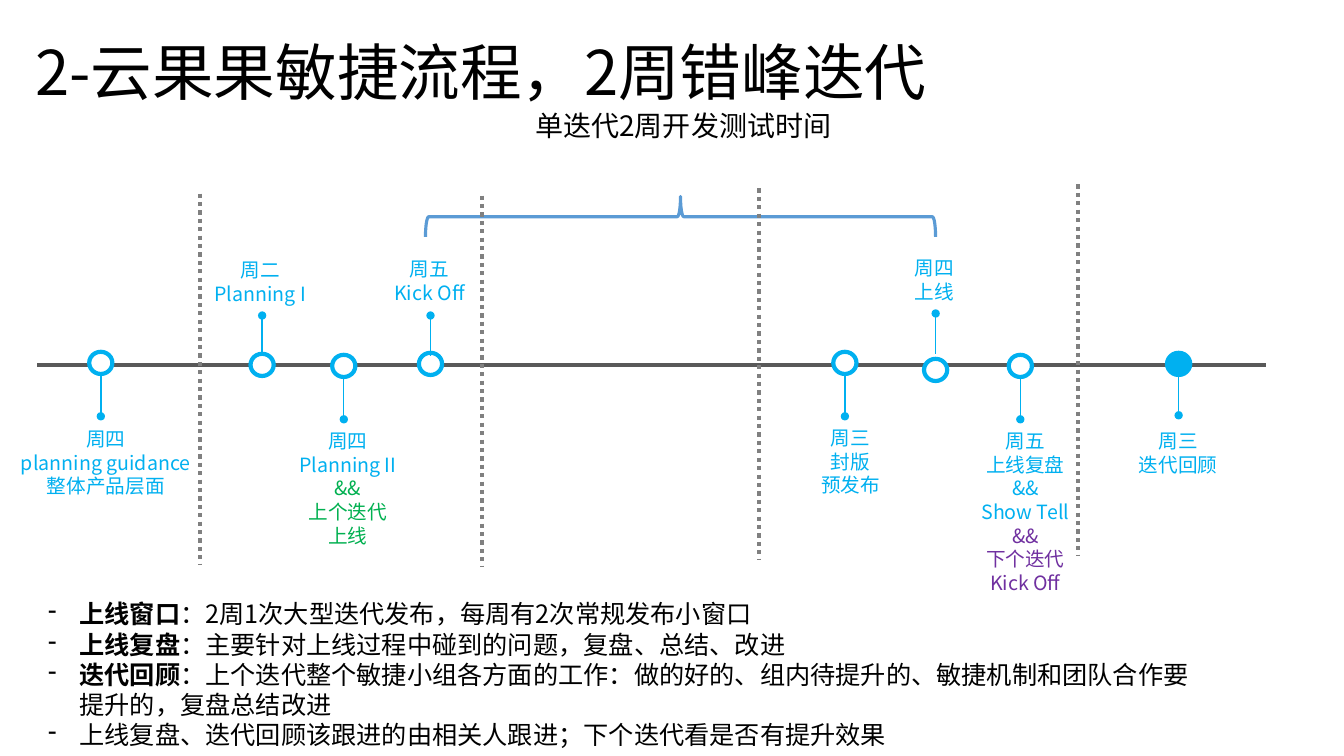
from lxml.etree import SubElement
from pptx import Presentation
from pptx.dml.color import RGBColor
from pptx.enum.dml import MSO_LINE
from pptx.enum.shapes import MSO_CONNECTOR, MSO_SHAPE
from pptx.enum.text import MSO_ANCHOR, PP_ALIGN
from pptx.oxml.ns import qn
from pptx.util import Inches, Pt

FONT = "Noto Sans CJK SC"
BLACK, WHITE, BLUE = "000000", "FFFFFF", "00B0F0"
GREEN, PURPLE = "00B050", "7030A0"
AXIS_GRAY, DIVIDER_GRAY, BRACE_BLUE = "595959", "808080", "5B9BD5"
DOT_WIDTH, DOT_HEIGHT = 0.23, 0.22
STEM_LENGTH = 0.4
LABEL_LINE_HEIGHT = 0.235

MILESTONES = [
    (1.0, 3.49, 3.73, 1, WHITE, (0.07, 4.19, 1.96),
     [("周四", BLUE), ("planning guidance", BLUE), ("整体产品层面", BLUE)]),
    (2.6, 3.51, 3.53, -1, WHITE, (2.01, 2.51, 1.14),
     [("周二", BLUE), ("Planning I", BLUE)]),
    (3.41, 3.52, 3.76, 1, WHITE, (2.85, 4.21, 1.2),
     [("周四", BLUE), ("Planning II", BLUE), ("&&", GREEN),
      ("上个迭代", GREEN), ("上线", GREEN)]),
    (4.27, 3.5, 3.53, -1, WHITE, (3.79, 2.5, 0.94),
     [("周五", BLUE), ("Kick Off", BLUE)]),
    (8.38, 3.49, 3.73, 1, WHITE, (8.04, 4.18, 0.79),
     [("周三", BLUE), ("封版", BLUE), ("预发布", BLUE)]),
    (9.28, 3.56, 3.51, -1, WHITE, (8.97, 2.49, 0.59),
     [("周四", BLUE), ("上线", BLUE)]),
    (10.12, 3.52, 3.76, 1, WHITE, (9.63, 4.21, 1.08),
     [("周五", BLUE), ("上线复盘", BLUE), ("&&", BLUE), ("Show Tell", BLUE),
      ("&&", PURPLE), ("下个迭代", PURPLE), ("Kick Off", PURPLE)]),
    (11.69, 3.5, 3.72, 1, BLUE, (11.19, 4.21, 0.99),
     [("周三", BLUE), ("迭代回顾", BLUE)]),
]
DIVIDERS = [(1.98, 1.92), (4.78, 1.94), (7.53, 1.87), (10.69, 1.83)]
DIVIDER_LENGTH = 3.69
NOTES = [
    ("上线窗口", "：2周1次大型迭代发布，每周有2次常规发布小窗口"),
    ("上线复盘", "：主要针对上线过程中碰到的问题，复盘、总结、改进"),
    ("迭代回顾", "：上个迭代整个敏捷小组各方面的工作：做的好的、组内待提升的、"
             "敏捷机制和团队合作要提升的，复盘总结改进"),
    ("", "上线复盘、迭代回顾该跟进的由相关人跟进；下个迭代看是否有提升效果"),
]


def color(value):
    return RGBColor.from_string(value)


class TimelineSlide:
    def __init__(self, slide, font_name):
        self.shapes = slide.shapes
        self.font_name = font_name

    def format_run(self, run, size, run_color, bold=False):
        run.font.size = Pt(size)
        run.font.bold = bold
        run.font.color.rgb = color(run_color)
        run.font.name = self.font_name
        east_asian = SubElement(run.font._element, qn("a:ea"))
        east_asian.set("typeface", self.font_name)

    def text_frame(self, left, top, width, height, wrap=True):
        box = self.shapes.add_textbox(
            Inches(left), Inches(top), Inches(width), Inches(height))
        box.text_frame.word_wrap = wrap
        return box.text_frame

    def text(self, left, top, width, height, content, size):
        frame = self.text_frame(left, top, width, height)
        frame.text = content
        self.format_run(frame.paragraphs[0].runs[0], size, BLACK)
        return frame

    def label(self, left, top, width, lines):
        height = 0.1 + LABEL_LINE_HEIGHT * len(lines)
        frame = self.text_frame(left, top, width, height, wrap=False)
        frame.text = "\n".join(content for content, _ in lines)
        for paragraph, (_, line_color) in zip(frame.paragraphs, lines):
            paragraph.alignment = PP_ALIGN.CENTER
            self.format_run(paragraph.runs[0], 14, line_color)

    def bullets(self, left, top, width, height, items, size):
        frame = self.text_frame(left, top, width, height)
        for index, (heading, body) in enumerate(items):
            paragraph = frame.add_paragraph() if index else frame.paragraphs[0]
            properties = paragraph._p.get_or_add_pPr()
            properties.set("marL", str(Inches(0.31)))
            properties.set("indent", str(-Inches(0.31)))
            SubElement(properties, qn("a:buChar")).set("char", "-")
            for content, bold in ((heading, True), (body, False)):
                if content:
                    run = paragraph.add_run()
                    run.text = content
                    self.format_run(run, size, BLACK, bold)

    def line(self, start, end, line_color, width, dash=None, oval_end=False):
        connector = self.shapes.add_connector(
            MSO_CONNECTOR.STRAIGHT, *(Inches(value) for value in start + end))
        connector.line.color.rgb = color(line_color)
        connector.line.width = Pt(width)
        if dash:
            connector.line.dash_style = dash
        if oval_end:
            SubElement(connector.line._get_or_add_ln(), qn("a:tailEnd")).set("type", "oval")
        SubElement(connector._element.spPr, qn("a:effectLst"))

    def shape(self, kind, left, top, width, height, line_color, line_width, fill=None):
        shape = self.shapes.add_shape(
            kind, Inches(left), Inches(top), Inches(width), Inches(height))
        shape.shadow.inherit = False
        shape.line.color.rgb = color(line_color)
        shape.line.width = Pt(line_width)
        if fill:
            shape.fill.solid()
            shape.fill.fore_color.rgb = color(fill)
        else:
            shape.fill.background()
        return shape

    def milestone(self, center, dot_top, stem_top, direction, fill, label_place, lines):
        self.shape(MSO_SHAPE.FLOWCHART_CONNECTOR, center - DOT_WIDTH / 2, dot_top,
                   DOT_WIDTH, DOT_HEIGHT, BLUE, 3, fill)
        self.line((center, stem_top), (center, stem_top + direction * STEM_LENGTH),
                  BLUE, 1, oval_end=True)
        self.label(*label_place, lines)

    def brace(self, left, top, width, height):
        brace = self.shape(MSO_SHAPE.RIGHT_BRACE, left, top, width, height, BRACE_BLUE, 2.25)
        brace.rotation = 270
        brace.adjustments[0] = 0.08
        brace.adjustments[1] = 0.5


def main():
    presentation = Presentation()
    presentation.slide_width = Inches(13.33)
    presentation.slide_height = Inches(7.5)
    slide = presentation.slides.add_slide(presentation.slide_layouts[6])
    timeline = TimelineSlide(slide, FONT)

    title = timeline.text(0.25, 0.02, 11.5, 1.45, "2-云果果敏捷流程，2周错峰迭代", 44)
    title.vertical_anchor = MSO_ANCHOR.MIDDLE
    title.paragraphs[0].line_spacing = 0.9

    timeline.line((0.37, 3.62), (12.56, 3.62), AXIS_GRAY, 3)
    for milestone in MILESTONES:
        timeline.milestone(*milestone)

    timeline.brace(6.55, -0.38, 0.4, 5.06)
    timeline.text(5.21, 1.03, 3.17, 0.44, "单迭代2周开发测试时间", 20)
    for x, top in DIVIDERS:
        timeline.line((x, top), (x, top + DIVIDER_LENGTH), DIVIDER_GRAY, 3,
                      dash=MSO_LINE.ROUND_DOT)
    timeline.bullets(0.38, 5.89, 11.58, 1.92, NOTES, 18)
    presentation.save("out.pptx")


if __name__ == "__main__":
    main()
